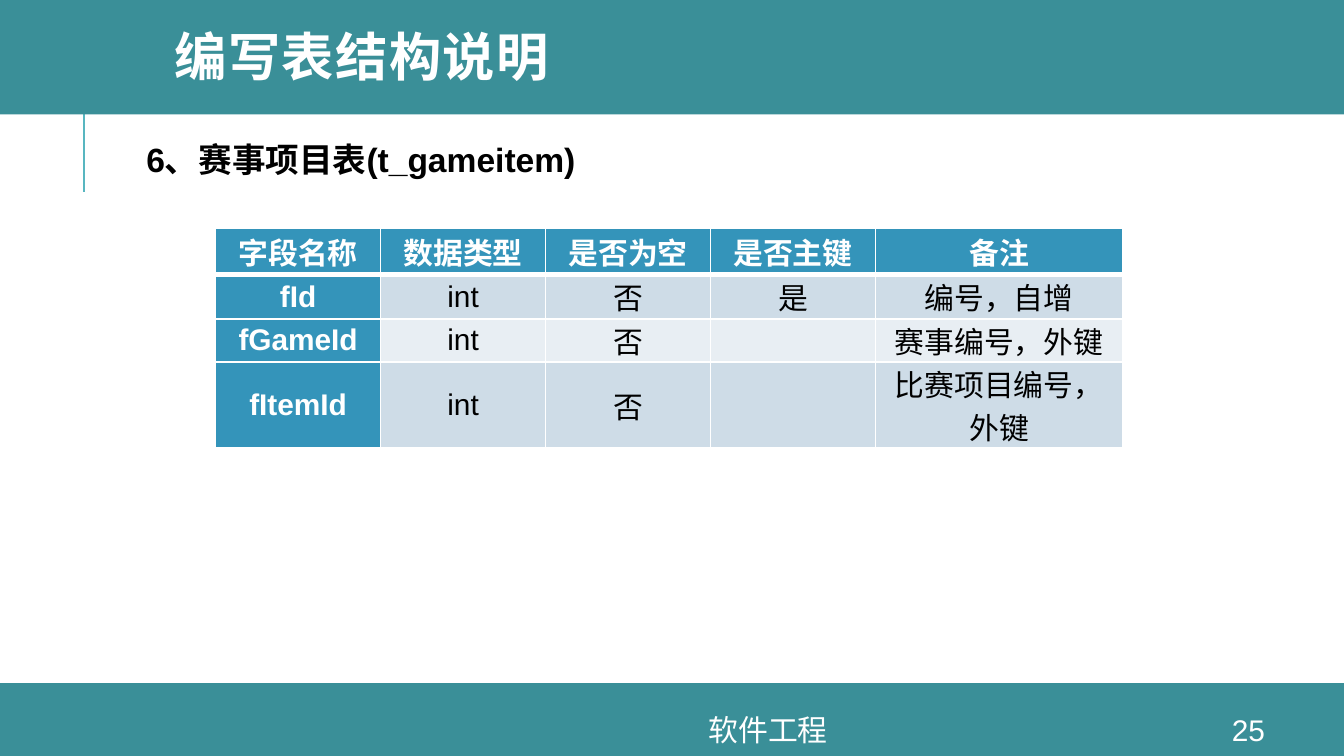
from lxml import etree
from pptx import Presentation
from pptx.dml.color import RGBColor
from pptx.enum import shapes, text
from pptx.oxml import ns
from pptx.util import Pt

TEAL = RGBColor(0x3A, 0x8F, 0x98)
RULE_TEAL = RGBColor(0x58, 0xB6, 0xC0)
BLUE = RGBColor(0x34, 0x94, 0xBA)
BANDS = RGBColor(0xCE, 0xDC, 0xE7), RGBColor(0xE8, 0xEE, 0xF3)
WHITE = RGBColor(0xFF, 0xFF, 0xFF)
BLACK = RGBColor(0, 0, 0)

FIELDS = [
    ["字段名称", "数据类型", "是否为空", "是否主键", "备注"],
    ["fId", "int", "否", "是", "编号，自增"],
    ["fGameId", "int", "否", "", "赛事编号，外键"],
    ["fItemId", "int", "否", "", "比赛项目编号，外键"],
]
COLUMN_WIDTHS = [88.4, 88.4, 88.4, 88.4, 132.4]
ROW_HEIGHTS = [25, 24, 23, 46]


def apply(target, formats):
    for name, value in formats.items():
        setattr(target, name, value)


def write(paragraph, words, size, color, bold=False):
    run = paragraph.add_run()
    run.text = words
    apply(run.font, {"name": "Arial", "size": Pt(size), "bold": bold})
    run.font.color.rgb = color
    return run


def add_band(slide, top, height):
    """Full-width coloured strip."""
    band = slide.shapes.add_shape(
        shapes.MSO_SHAPE.RECTANGLE, 0, Pt(top), Pt(720), Pt(height))
    band.shadow.inherit = False
    band.fill.solid()
    band.fill.fore_color.rgb = TEAL
    band.line.fill.background()


def add_rule(slide, x, top, bottom):
    rule = slide.shapes.add_connector(
        shapes.MSO_CONNECTOR.STRAIGHT, Pt(x), Pt(top), Pt(x), Pt(bottom))
    rule.line.color.rgb = RULE_TEAL
    rule.line.width = Pt(1.5)
    etree.SubElement(rule._element.spPr, ns.qn("a:effectLst"))


def add_text(slide, box, words, size, color=WHITE, bold=False,
             align=text.PP_ALIGN.LEFT, **frame_formats):
    """Text box, vertically centred; returns its paragraph and run."""
    frame = slide.shapes.add_textbox(*map(Pt, box)).text_frame
    apply(frame, {"word_wrap": True, "vertical_anchor": text.MSO_ANCHOR.MIDDLE,
                  **frame_formats})
    paragraph = frame.paragraphs[0]
    paragraph.alignment = align
    return paragraph, write(paragraph, words, size, color, bold)


def set_borders(cell, widths):
    properties = cell._tc.get_or_add_tcPr()
    for side, width in widths.items():
        line = etree.SubElement(properties, ns.qn(f"a:ln{side}"), w=str(Pt(width)))
        fill = etree.SubElement(line, ns.qn("a:solidFill"))
        etree.SubElement(fill, ns.qn("a:srgbClr"), val=str(WHITE))


def format_cell(cell, words, row, column):
    header = row == 0 or column == 0
    # The header row is closed off by a heavier line.
    set_borders(cell, {"L": 1, "R": 1, "T": 3 if row == 1 else 1,
                       "B": 3 if row == 0 else 1})
    cell.fill.solid()
    cell.fill.fore_color.rgb = BLUE if header else BANDS[(row - 1) % 2]
    apply(cell, {"margin_left": Pt(4.5), "margin_right": Pt(4.5),
                 "margin_top": 0, "margin_bottom": 0,
                 "vertical_anchor": text.MSO_ANCHOR.MIDDLE})
    if words:
        paragraph = cell.text_frame.paragraphs[0]
        paragraph.alignment = text.PP_ALIGN.CENTER
        write(paragraph, words, 16, WHITE if header else BLACK, header)


def add_field_table(slide, left, top):
    table = slide.shapes.add_table(
        len(FIELDS), len(COLUMN_WIDTHS), Pt(left), Pt(top),
        Pt(sum(COLUMN_WIDTHS)), Pt(sum(ROW_HEIGHTS))).table
    for column, width in zip(table.columns, COLUMN_WIDTHS):
        column.width = Pt(width)
    for row, height in zip(table.rows, ROW_HEIGHTS):
        row.height = Pt(height)
    for row, fields in enumerate(FIELDS):
        for column, words in enumerate(fields):
            format_cell(table.cell(row, column), words, row, column)


def main():
    presentation = Presentation()
    apply(presentation, {"slide_width": Pt(720), "slide_height": Pt(405)})
    slide = presentation.slides.add_slide(presentation.slide_layouts[6])

    add_rule(slide, 45, 49, 103)
    add_band(slide, 366, 39)
    add_band(slide, -2, 63.3)
    add_field_table(slide, 115.5, 122)

    add_text(slide, (73.4, 71.5, 253.6, 27.5), "6、赛事项目表(t_gameitem)", 18,
             BLACK, True, word_wrap=False,
             auto_size=text.MSO_AUTO_SIZE.SHAPE_TO_FIT_TEXT,
             margin_left=Pt(5), margin_right=Pt(5),
             margin_top=Pt(3), margin_bottom=Pt(3))
    title, title_run = add_text(slide, (86.4, 0, 611.3, 65.5),
                                "编写表结构说明", 28, bold=True)
    title.line_spacing = 0.8
    title_run._r.get_or_add_rPr().set("spc", "80")

    centre = text.PP_ALIGN.CENTER
    add_text(slide, (640, 382.5, 57.6, 16.5), "25", 16, align=centre)
    add_text(slide, (188, 382.5, 447, 16.5), "软件工程", 16, align=centre)
    presentation.save("out.pptx")


if __name__ == "__main__":
    main()
